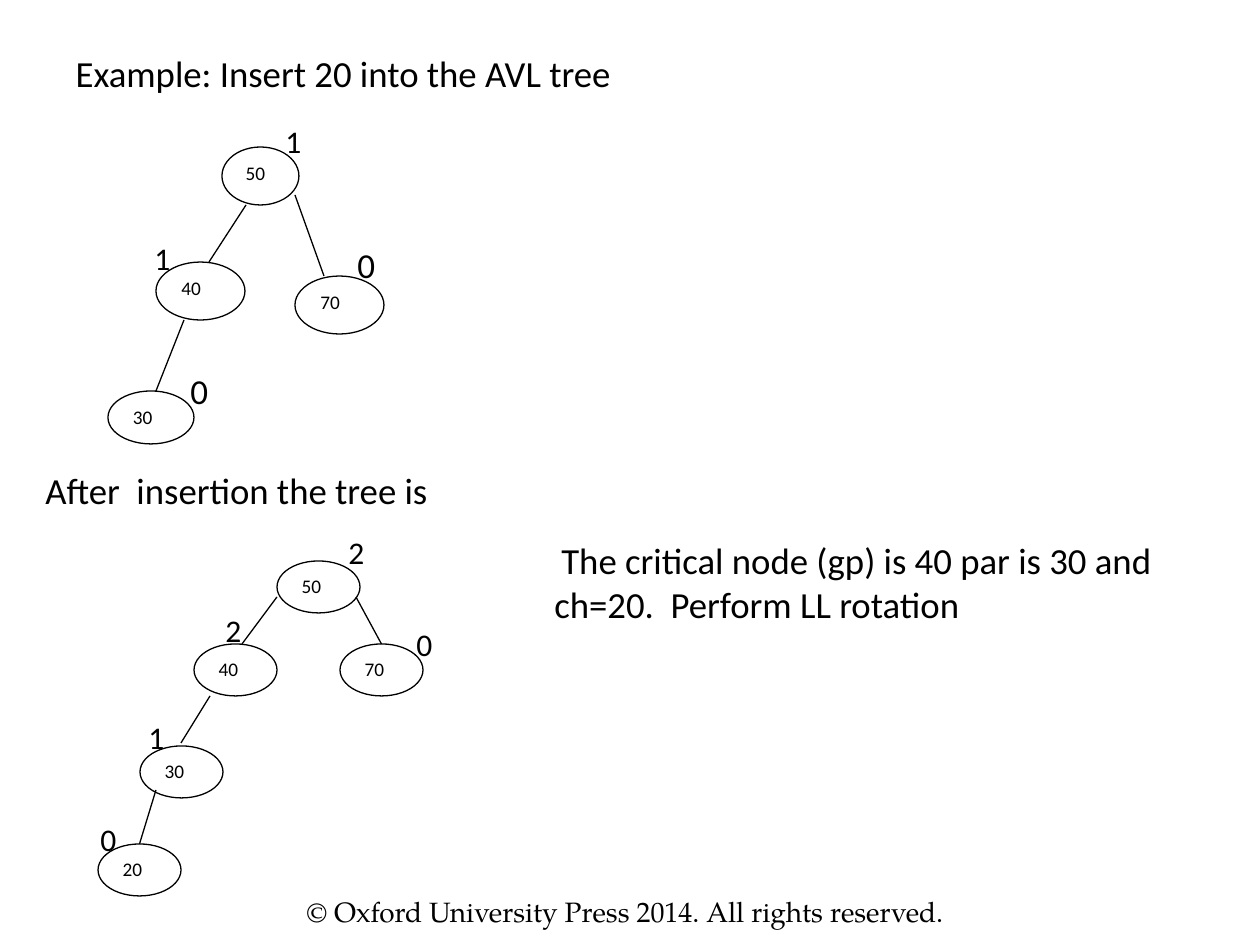
from pptx import Presentation
from pptx.dml.color import RGBColor
from pptx.enum.shapes import MSO_CONNECTOR, MSO_SHAPE
from pptx.enum.text import MSO_ANCHOR, MSO_AUTO_SIZE, PP_ALIGN
from pptx.oxml.ns import qn
from pptx.util import Emu, Pt
from lxml.etree import SubElement

COLORS = {"ink": "000000", "paper": "FFFFFF"}
BODY_FONT = "Calibri"
FOOTER_FONT = "TeX Gyre Pagella"
TITLE = "Example: Insert 20 into the AVL tree"
CAPTION = "After  insertion the tree is"
EXPLANATION = "The critical node (gp) is 40 par is 30 and ch=20.  Perform LL rotation"
FOOTER = "© Oxford University Press 2014. All rights reserved."

# Nodes: key -> box. Edges: child, start, end (None is the top of the child).
# Balance factors: text, left, top, size.
TREES = [
    {
        "nodes": {
            "50": (222, 147, 77, 58),
            "40": (156, 262, 89, 58),
            "70": (295, 276, 89, 58),
            "30": (108, 391, 86, 53),
        },
        "edges": [
            ("70", (295, 195), (324, 276)),
            ("40", (246, 205), (209, 262)),
            ("30", (184, 320), (156, 391)),
        ],
        "balances": [("1", 273, 116, 18), ("1", 142, 233, 18),
                     ("0", 345, 237, 20), ("0", 178, 363, 20)],
    },
    {
        "nodes": {
            "50": (277, 561, 83, 52),
            "30": (140, 746, 83, 52),
            "40": (194, 644, 83, 52),
            "70": (340, 644, 83, 52),
            "20": (98, 844, 83, 52),
        },
        "edges": [
            ("20", (156, 790), None),
            ("30", (210, 696), (181, 743)),
            ("40", (277, 597), (242, 644)),
            ("70", (356, 597), None),
        ],
        "balances": [("2", 336, 527, 18), ("2", 213, 605, 18), ("1", 136, 712, 18),
                     ("0", 404, 619, 18), ("0", 88, 814, 18)],
    },
]


def px(value):
    return Emu(round(value * 914400 / 126))


def color(name):
    return RGBColor.from_string(COLORS[name])


def write(shape, text, size, font=BODY_FONT, wrap=True):
    frame = shape.text_frame
    frame.word_wrap = wrap
    frame.auto_size = MSO_AUTO_SIZE.NONE
    frame.vertical_anchor = MSO_ANCHOR.TOP
    paragraph = frame.paragraphs[0]
    paragraph.alignment = PP_ALIGN.LEFT
    run = paragraph.add_run()
    run.text = text
    run.font.size = Pt(size)
    run.font.name = font
    run.font.color.rgb = color("ink")
    return paragraph


def add_text(slide, box, text, size, font=BODY_FONT, wrap=True):
    textbox = slide.shapes.add_textbox(*map(px, box))
    return write(textbox, text, size, font, wrap)


def add_node(group, key, box):
    node = group.shapes.add_shape(MSO_SHAPE.OVAL, *map(px, box))
    node.shadow.inherit = False
    node.fill.solid()
    node.fill.fore_color.rgb = color("paper")
    node.line.color.rgb = color("ink")
    node.line.width = Pt(0.75)
    write(node, key, 11)
    return node


def add_edge(group, child, start, end):
    edge = group.shapes.add_connector(
        MSO_CONNECTOR.STRAIGHT, *map(px, start + (end or start)))
    if end is None:
        edge.end_connect(child, 0)
    edge.line.color.rgb = color("ink")
    edge.line.width = Pt(0.75)
    SubElement(edge._element.spPr, qn("a:effectLst"))


def add_tree(slide, tree):
    group = slide.shapes.add_group_shape()
    nodes = {key: add_node(group, key, box) for key, box in tree["nodes"].items()}
    for child, start, end in tree["edges"]:
        add_edge(group, nodes[child], start, end)
    for text, left, top, size in tree["balances"]:
        add_text(slide, (left, top, size + 23, 50), text, size, wrap=False)


def main():
    presentation = Presentation()
    presentation.slide_width, presentation.slide_height = px(1260), px(945)
    slide = presentation.slides.add_slide(presentation.slide_layouts[5])

    title = slide.shapes.title
    title.left, title.top, title.width, title.height = map(px, (63, 49, 1134, 69))
    write(title, TITLE, 21).line_spacing = 0.9

    for tree in TREES:
        add_tree(slide, tree)

    add_text(slide, (33, 462, 417, 57), CAPTION, 21, wrap=False)
    explanation = add_text(slide, (542, 532, 630, 101), EXPLANATION, 21)
    properties = explanation._p.get_or_add_pPr()
    properties.set("marL", "0")
    properties.set("indent", str(px(7)))
    add_text(slide, (294, 888, 746, 47), FOOTER, 16, FOOTER_FONT)

    presentation.save("out.pptx")


if __name__ == "__main__":
    main()
